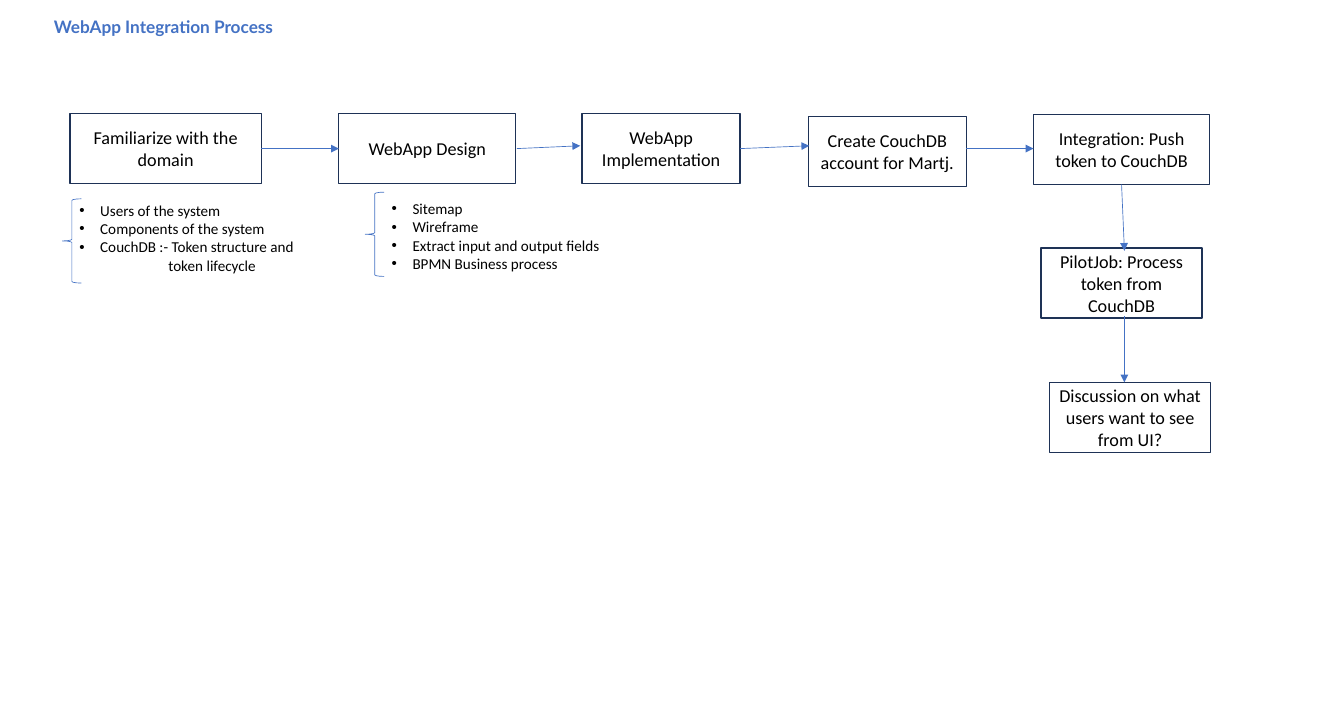
from dataclasses import dataclass

from lxml.etree import SubElement
from pptx import Presentation
from pptx.dml.color import RGBColor as RGB
from pptx.enum.shapes import MSO_CONNECTOR as CONN, MSO_SHAPE as SHAPE
from pptx.enum.text import MSO_ANCHOR as ANCHOR, PP_ALIGN as ALIGN
from pptx.oxml.ns import qn
from pptx.util import Inches, Pt


@dataclass(frozen=True)
class Theme:
    accent: RGB = RGB(0x44, 0x72, 0xC4)
    border: RGB = RGB(0x1E, 0x32, 0x56)
    ink: RGB = RGB(0, 0, 0)
    title_font: str = "Lato"
    body_font: str = "Calibri"
    title_size: float = 13.1
    step_size: float = 13.8
    detail_size: float = 11.5
    border_width: float = 1
    thin_width: float = 0.5


class FlowSlide:
    def __init__(self, slide, theme):
        self.shapes = slide.shapes
        self.theme = theme

    def style(self, p, size, name=None, color=None, bold=False):
        for r in p.runs:
            r.font.size = Pt(size)
            r.font.name = name or self.theme.body_font
            r.font.color.rgb = color or self.theme.ink
            r.font.bold = bold

    def text_box(self, *box):
        tf = self.shapes.add_textbox(*map(Inches, box)).text_frame
        tf.word_wrap = True
        return tf

    def outline(self, kind, box, color, width):
        sp = self.shapes.add_shape(kind, *map(Inches, box))
        sp.shadow.inherit = False
        sp.fill.background()
        sp.line.color.rgb = color
        sp.line.width = Pt(width)
        return sp

    def title(self, text, *box):
        t = self.theme
        tf = self.text_box(*box)
        tf.margin_left = tf.margin_top = tf.margin_right = tf.margin_bottom = 0
        p = tf.paragraphs[0]
        p.text = text
        p.line_spacing = Pt(27)
        self.style(p, t.title_size, t.title_font, t.accent, bold=True)

    def step(self, text, left, top, width, height=0.74):
        t = self.theme
        sp = self.outline(SHAPE.RECTANGLE, (left, top, width, height),
                          t.border, t.border_width)
        tf = sp.text_frame
        tf.word_wrap = True
        tf.vertical_anchor = ANCHOR.MIDDLE
        p = tf.paragraphs[0]
        p.text = text
        p.alignment = ALIGN.CENTER
        self.style(p, t.step_size)

    def brace(self, left, top):
        self.outline(SHAPE.LEFT_BRACE, (left, top, 0.2, 0.89),
                     self.theme.accent, self.theme.thin_width)

    def bullet_list(self, bullets, box, continuation=None):
        tf = self.text_box(*box)
        lines = bullets + ([continuation] if continuation else [])
        for i, text in enumerate(lines):
            p = tf.paragraphs[0] if i == 0 else tf.add_paragraph()
            p.text = text
            pPr = p._p.get_or_add_pPr()
            if i < len(bullets):
                pPr.set("marL", str(Inches(0.22)))
                pPr.set("indent", str(-Inches(0.22)))
                SubElement(pPr, qn("a:buFont")).set("typeface", "Arial")
                SubElement(pPr, qn("a:buChar")).set("char", "•")
            else:
                pPr.set("marL", str(Inches(0.94)))
            self.style(p, self.theme.detail_size)

    def arrow(self, *ends):
        c = self.shapes.add_connector(CONN.STRAIGHT, *map(Inches, ends))
        c.line.color.rgb = self.theme.accent
        c.line.width = Pt(self.theme.thin_width)
        spPr = c._element.spPr
        SubElement(spPr.find(qn("a:ln")), qn("a:tailEnd")).set("type", "triangle")
        SubElement(spPr, qn("a:effectLst"))


STEPS = [
    ("Familiarize with the domain", 0.74, 1.2, 2.02),
    ("WebApp Design", 3.58, 1.2, 1.87),
    ("WebApp Implementation", 6.15, 1.2, 1.67),
    ("Create CouchDB account for Martj.", 8.54, 1.23, 1.67),
    ("Integration: Push token to CouchDB", 10.92, 1.21, 1.86),
    ("PilotJob: Process token from CouchDB", 11, 2.62, 1.7),
    ("Discussion on what users want to see from UI?", 11.09, 4.04, 1.7),
]
ARROWS = [
    (2.76, 1.57, 3.58, 1.57),
    (5.46, 1.57, 6.13, 1.54),
    (7.82, 1.57, 8.55, 1.54),
    (10.21, 1.57, 10.92, 1.57),
    (11.85, 1.95, 11.88, 2.65),
    (11.88, 3.34, 11.88, 4.04),
]
DOMAIN_DETAILS = ["Users of the system", "Components of the system",
                  "CouchDB :- Token structure and"]
DESIGN_DETAILS = ["Sitemap", "Wireframe", "Extract input and output fields",
                  "BPMN Business process"]


def main():
    prs = Presentation()
    prs.slide_width, prs.slide_height = Inches(14.2), Inches(7.5)
    s = FlowSlide(prs.slides.add_slide(prs.slide_layouts[6]), Theme())

    s.title("WebApp Integration Process", 0.57, 0.02, 10.75, 0.48)

    # Process steps and the arrows between them
    for step in STEPS:
        s.step(*step)
    for ends in ARROWS:
        s.arrow(*ends)

    # Details under the first two steps
    s.brace(0.66, 2.1)
    s.bullet_list(DOMAIN_DETAILS, (0.74, 2.08, 2.59, 1.07), "token lifecycle")
    s.brace(3.86, 2.03)
    s.bullet_list(DESIGN_DETAILS, (4.04, 2.06, 2.43, 1.27))

    prs.save("out.pptx")


if __name__ == "__main__":
    main()
